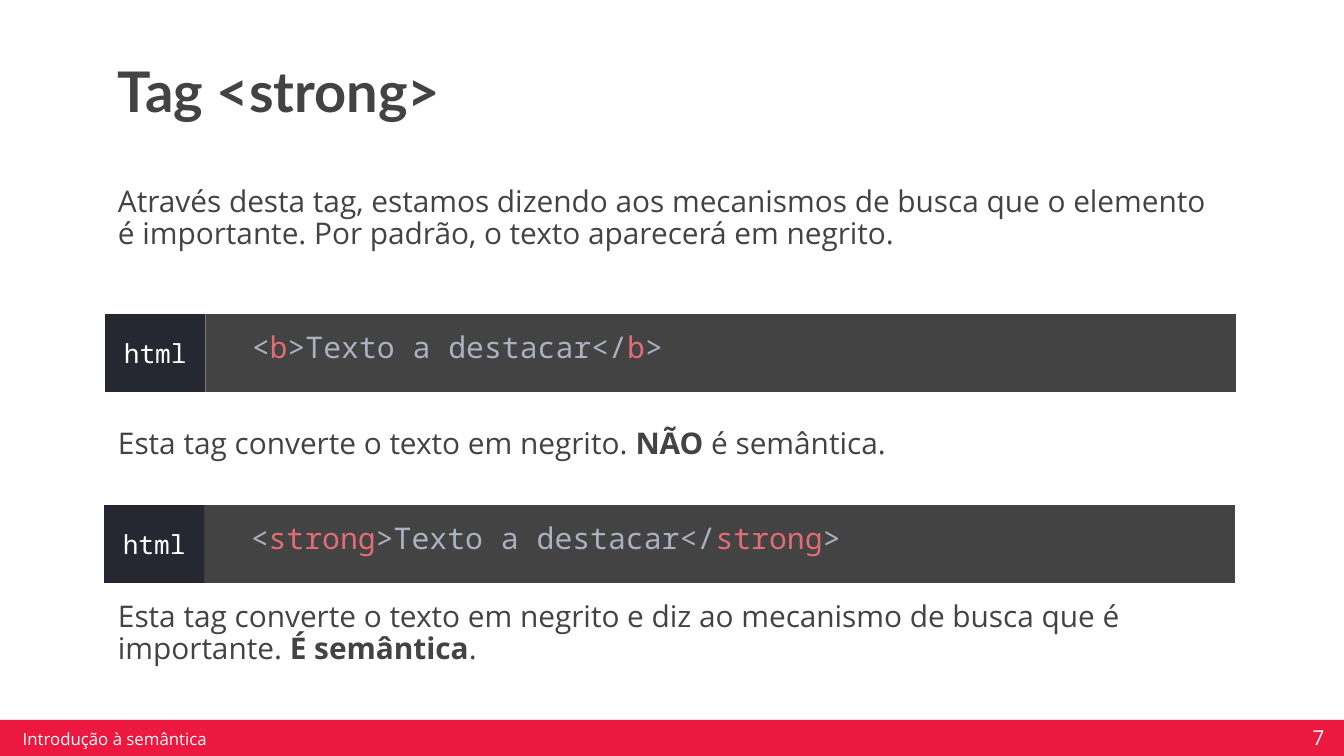
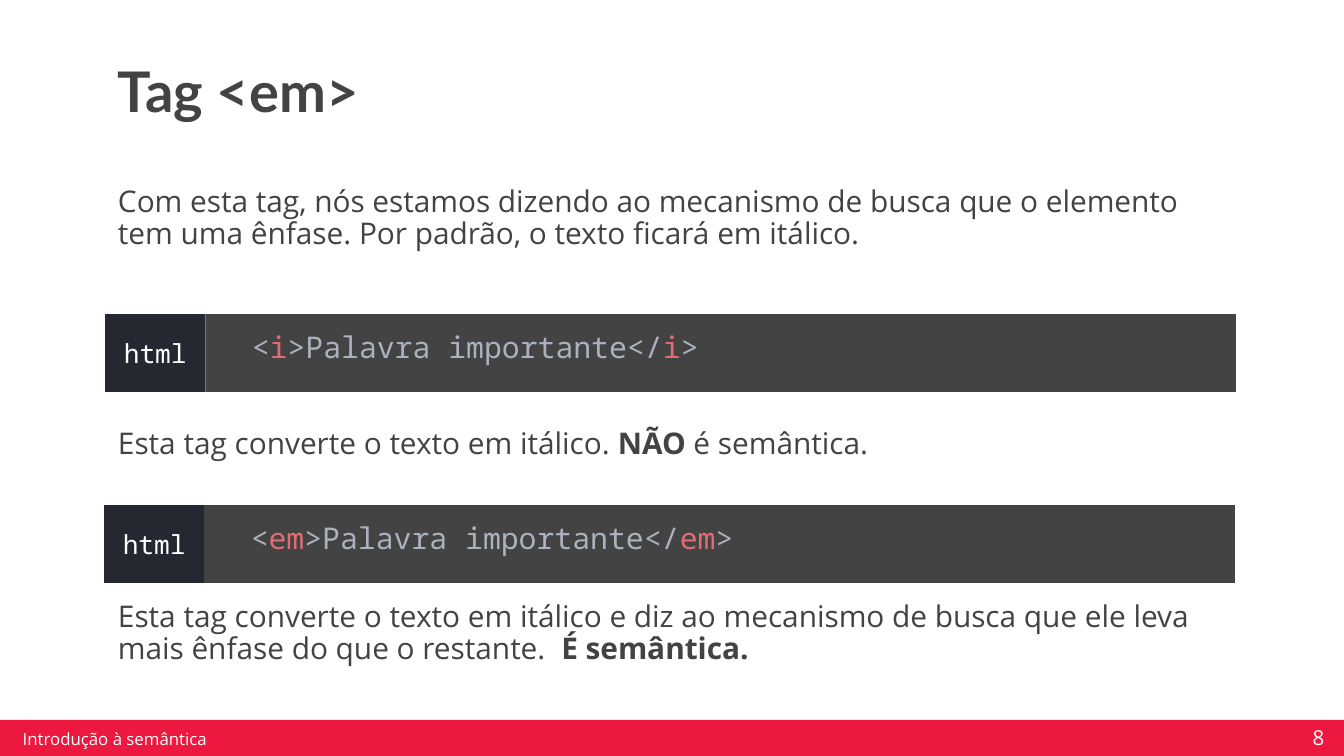
from pptx import Presentation
from pptx.dml.color import RGBColor
from pptx.enum.shapes import MSO_SHAPE
from pptx.enum.text import MSO_ANCHOR, MSO_AUTO_SIZE, PP_ALIGN
from pptx.oxml.xmlchemy import OxmlElement
from pptx.util import Cm, Pt

RECTANGLE = MSO_SHAPE.RECTANGLE
TOP, MIDDLE, BOTTOM = MSO_ANCHOR.TOP, MSO_ANCHOR.MIDDLE, MSO_ANCHOR.BOTTOM
LEFT, CENTER = PP_ALIGN.LEFT, PP_ALIGN.CENTER
NO_AUTOFIT = MSO_AUTO_SIZE.NONE

GRAPHITE = RGBColor(0x43, 0x43, 0x43)
NIGHT = RGBColor(0x26, 0x28, 0x31)
RED = RGBColor(0xEC, 0x18, 0x3F)
WHITE = RGBColor(0xFF, 0xFF, 0xFF)
CODE_GRAY = RGBColor(0xAB, 0xB2, 0xBF)
CODE_RED = RGBColor(0xE0, 0x6C, 0x75)

TITLE = {"name": "Lato", "size": Pt(30), "bold": True, "color": GRAPHITE}
BODY = {"name": "Open Sans", "size": Pt(16), "bold": False, "color": GRAPHITE}
STRONG = {**BODY, "bold": True}
CODE = {"name": "Noto Sans Mono", "size": Pt(16), "color": CODE_GRAY}
CODE_TAG = {**CODE, "color": CODE_RED}
LABEL = {"name": "Noto Sans Mono", "size": Pt(14), "color": WHITE}
SECTION = {"name": "Open Sans", "size": Pt(9), "color": WHITE}
NUMBER = {"name": "Open Sans", "size": Pt(11), "color": WHITE}

WIDE_INSETS = (0.25, 0.25, 0.25, 0.25)
CODE_INSETS = (0.88, 0, 0.25, 0.25)
THIN_INSETS = (0.13, 0.05, 0.13, 0.05)

MARGIN = 1.98
NOTE_SIZE = (21.41, 2.01)
LABEL_WIDTH, BAR_WIDTH, BAR_HEIGHT = 1.89, 19.48, 1.47

LESSONS = [
    {
        "number": 7,
        "title": "Tag <strong>",
        "intro": "Através desta tag, estamos dizendo aos mecanismos de busca que o elemento "
                 "é importante. Por padrão, o texto aparecerá em negrito.",
        "sample": "Texto a destacar",
        "tags": ["b", "strong"],
        "plain": [("Esta tag converte o texto em negrito. ", BODY), ("NÃO", STRONG),
                  (" é semântica.", BODY)],
        "semantic": [("Esta tag converte o texto em negrito e diz ao mecanismo de busca que é "
                      "importante. ", BODY), ("É semântica", STRONG), (".", BODY)],
    },
    {
        "number": 8,
        "title": "Tag <em>",
        "intro": "Com esta tag, nós estamos dizendo ao mecanismo de busca que o elemento "
                 "tem uma ênfase. Por padrão, o texto ficará em itálico.",
        "sample": "Palavra importante",
        "tags": ["i", "em"],
        "plain": [("Esta tag converte o texto em itálico. ", BODY), ("NÃO", STRONG),
                  (" é semântica.", BODY)],
        "semantic": [("Esta tag converte o texto em itálico e diz ao mecanismo de busca que ele leva "
                      "mais ênfase do que o restante.  ", BODY), ("É semântica.", STRONG)],
    },
]


def write(shape, runs, insets=WIDE_INSETS, anchor=TOP, **paragraph_format):
    frame = shape.text_frame
    frame.auto_size = NO_AUTOFIT
    frame.word_wrap = True
    frame.vertical_anchor = anchor
    for side, inset in zip(("left", "top", "right", "bottom"), insets):
        setattr(frame, f"margin_{side}", Cm(inset))
    paragraph = frame.paragraphs[0]
    for key, value in {"alignment": LEFT, **paragraph_format}.items():
        setattr(paragraph, key, value)
    for text, style in runs:
        run = paragraph.add_run()
        run.text = text
        for key, value in style.items():
            if key == "color":
                run.font.color.rgb = value
            else:
                setattr(run.font, key, value)
    return paragraph


def add_box(shapes, left, top, width, height, color):
    box = shapes.add_shape(RECTANGLE, Cm(left), Cm(top), Cm(width), Cm(height))
    box.shadow.inherit = False
    box.fill.solid()
    box.fill.fore_color.rgb = color
    box.line.fill.background()
    return box


presentation = Presentation()
presentation.slide_width = Cm(25.4)
presentation.slide_height = Cm(14.29)

for lesson in LESSONS:
    slide = presentation.slides.add_slide(presentation.slide_layouts[1])
    shapes = slide.shapes
    title, intro = shapes.title, slide.placeholders[1]

    for placeholder, top, width, height in ((title, 0.86, 15.14, 1.75), (intro, 3.28, *NOTE_SIZE)):
        placeholder.left, placeholder.top = Cm(MARGIN), Cm(top)
        placeholder.width, placeholder.height = Cm(width), Cm(height)
    write(title, [(lesson["title"], TITLE)], anchor=BOTTOM, line_spacing=0.9)
    paragraph = write(intro, [(lesson["intro"], BODY)], line_spacing=0.9, space_before=Pt(10))
    properties = paragraph._p.get_or_add_pPr()
    properties.set("marL", "0")
    properties.set("indent", "0")
    properties.append(OxmlElement("a:buNone"))

    for tag, left, top in zip(lesson["tags"], (1.99, 1.97), (5.94, 9.55)):
        group = shapes.add_group_shape()
        code_bar = add_box(group.shapes, left + LABEL_WIDTH, top, BAR_WIDTH, BAR_HEIGHT, GRAPHITE)
        write(code_bar, [("<", CODE), (tag, CODE_TAG), (f">{lesson['sample']}</", CODE),
                         (tag, CODE_TAG), (">", CODE)],
              CODE_INSETS, MIDDLE, space_before=Pt(6))
        label = add_box(group.shapes, left, top, LABEL_WIDTH, BAR_HEIGHT, NIGHT)
        write(label, [("html", LABEL)], anchor=MIDDLE, alignment=CENTER)

    for key, top in (("plain", 7.85), ("semantic", 11.13)):
        note = shapes.add_textbox(Cm(MARGIN), Cm(top), *map(Cm, NOTE_SIZE))
        write(note, lesson[key], line_spacing=0.9)

    add_box(shapes, -0.05, 13.61, 25.48, 0.69, RED)
    section = shapes.add_textbox(Cm(0.3), Cm(13.77), Cm(6.07), Cm(0.38))
    write(section, [("Introdução à semântica", SECTION)], THIN_INSETS, MIDDLE)
    number = shapes.add_textbox(Cm(24.56), Cm(13.39), Cm(1.52), Cm(1.09))
    write(number, [(str(lesson["number"]), NUMBER)], anchor=MIDDLE)

presentation.save("out.pptx")
